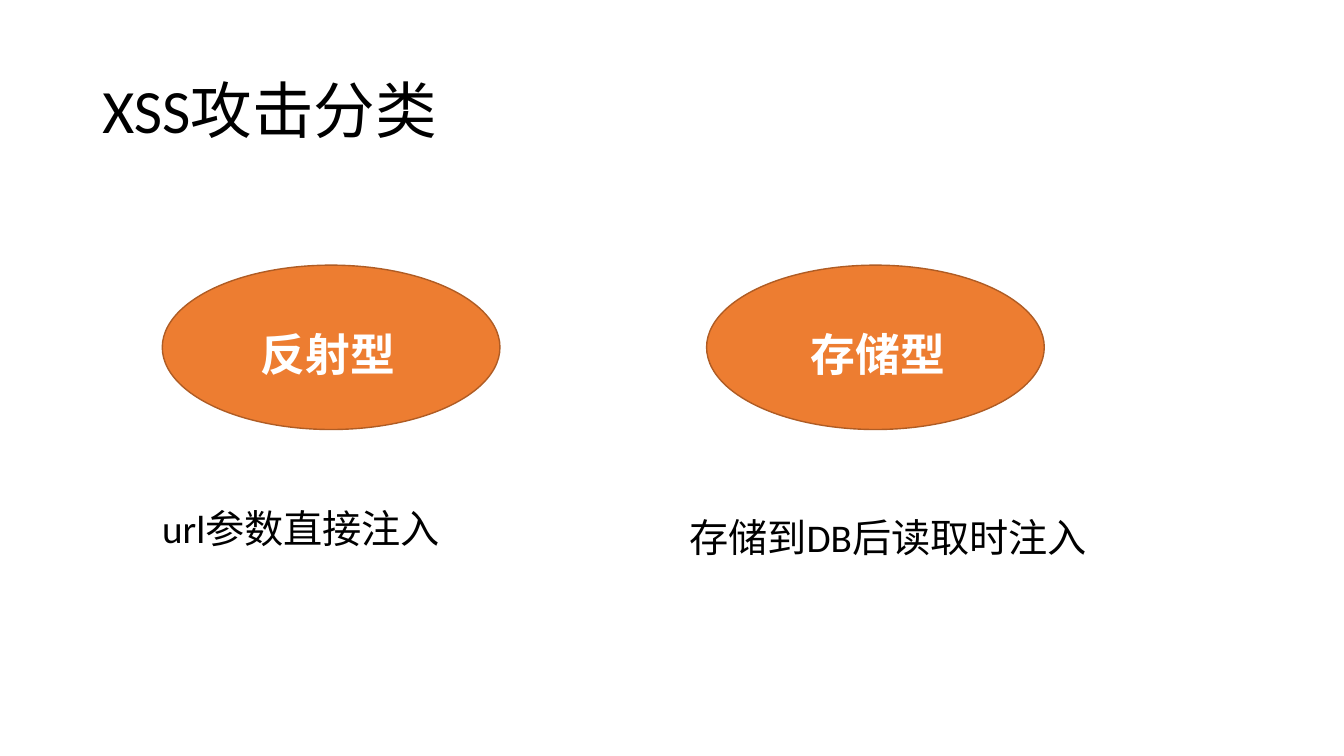
from dataclasses import dataclass

from pptx import Presentation
from pptx.dml.color import RGBColor
from pptx.enum.shapes import MSO_SHAPE
from pptx.enum.text import MSO_ANCHOR, MSO_AUTO_SIZE, PP_ALIGN
from pptx.util import Pt

OVAL = MSO_SHAPE.OVAL
MIDDLE = MSO_ANCHOR.MIDDLE
TOP = MSO_ANCHOR.TOP
LEFT = PP_ALIGN.LEFT
GROW = MSO_AUTO_SIZE.SHAPE_TO_FIT_TEXT
NO_FIT = MSO_AUTO_SIZE.NONE
TITLE_ONLY_LAYOUT = 5


@dataclass(frozen=True)
class Theme:
    font: str = "Calibri"
    text: RGBColor = RGBColor(0x00, 0x00, 0x00)
    label: RGBColor = RGBColor(0xFF, 0xFF, 0xFF)
    oval_fill: RGBColor = RGBColor(0xED, 0x7D, 0x31)
    oval_line: RGBColor = RGBColor(0xAF, 0x5C, 0x24)
    title_size: int = 44
    label_size: int = 32
    caption_size: int = 28


class SlideBuilder:
    def __init__(self, slide, theme):
        self.slide = slide
        self.theme = theme

    def set_text(self, shape, text, size, color, bold=False):
        """Put one left-aligned paragraph in the shape."""
        paragraph = shape.text_frame.paragraphs[0]
        paragraph.text = text
        paragraph.alignment = LEFT
        font = paragraph.font
        font.name = self.theme.font
        font.size = Pt(size)
        font.bold = bold
        font.color.rgb = color
        return paragraph

    def title(self, text, left, top, width, height):
        shape = self.slide.shapes.title
        shape.left, shape.top = Pt(left), Pt(top)
        shape.width, shape.height = Pt(width), Pt(height)
        shape.text_frame.vertical_anchor = MIDDLE
        shape.text_frame.auto_size = NO_FIT
        paragraph = self.set_text(shape, text, self.theme.title_size, self.theme.text)
        paragraph.line_spacing = 0.9

    def oval(self, left, top, width, height):
        shape = self.slide.shapes.add_shape(
            OVAL, Pt(left), Pt(top), Pt(width), Pt(height))
        shape.shadow.inherit = False
        shape.fill.solid()
        shape.fill.fore_color.rgb = self.theme.oval_fill
        shape.line.color.rgb = self.theme.oval_line
        shape.line.width = Pt(1)

    def text_box(self, text, left, top, width, height, size, color, bold=False):
        shape = self.slide.shapes.add_textbox(
            Pt(left), Pt(top), Pt(width), Pt(height))
        frame = shape.text_frame
        frame.word_wrap = True
        frame.auto_size = GROW
        frame.vertical_anchor = TOP
        self.set_text(shape, text, size, color, bold)

    def label(self, text, left, top):
        self.text_box(text, left, top, 125.3, 46,
                      self.theme.label_size, self.theme.label, bold=True)

    def caption(self, text, left, top, width):
        self.text_box(text, left, top, width, 41,
                      self.theme.caption_size, self.theme.text)


def main():
    presentation = Presentation()
    presentation.slide_width = Pt(960)
    presentation.slide_height = Pt(540)
    slide = presentation.slides.add_slide(
        presentation.slide_layouts[TITLE_ONLY_LAYOUT])
    builder = SlideBuilder(slide, Theme())

    builder.title("XSS攻击分类", 66, 28.8, 828, 104.4)

    # Attack type, oval left, label left, caption, caption left, top and width
    attack_types = [
        ("反射型", 115.9, 179.3, "url参数直接注入", 108.7, 356.4, 285),
        ("存储型", 504.7, 572.2, "存储到DB后读取时注入", 485.3, 362.9, 311.8),
    ]
    for name, oval_left, label_left, caption, *caption_box in attack_types:
        builder.oval(oval_left, 189.4, 241.2, 117.4)
        builder.label(name, label_left, 229.7)
        builder.caption(caption, *caption_box)

    presentation.save("out.pptx")


if __name__ == "__main__":
    main()
